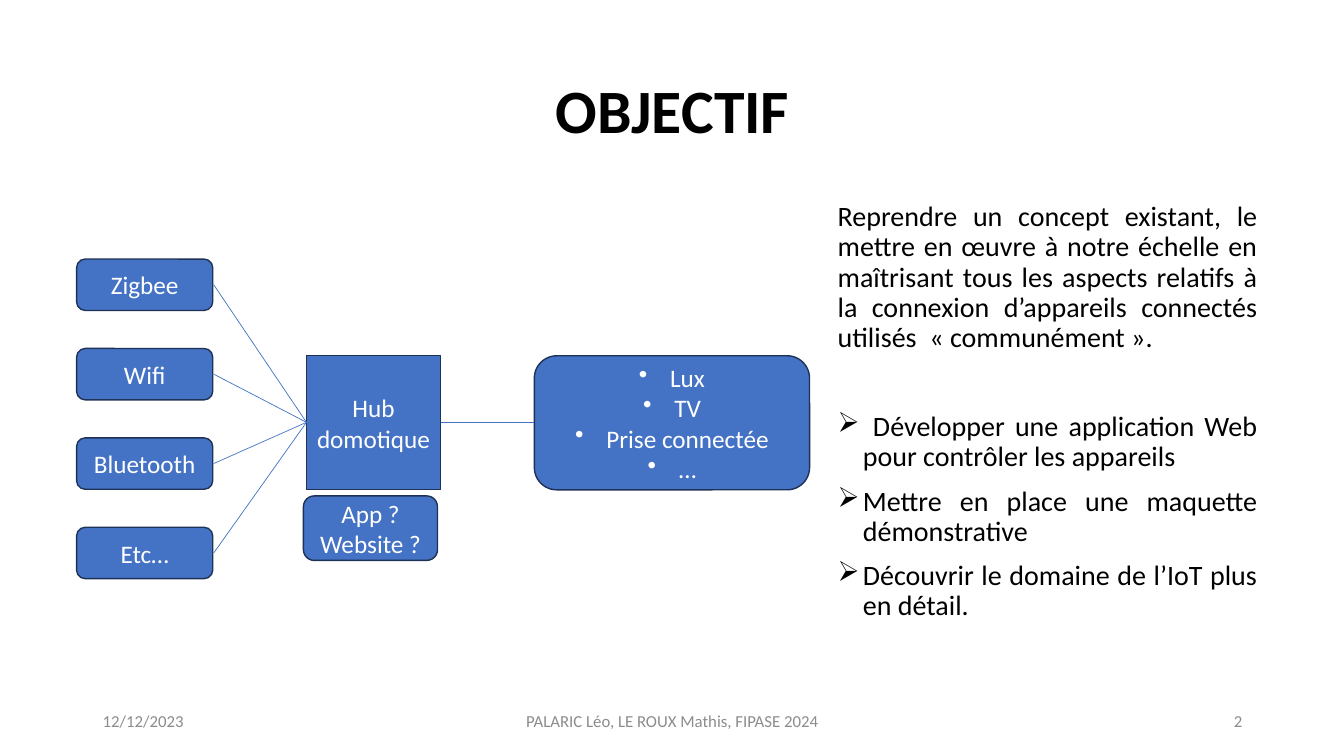
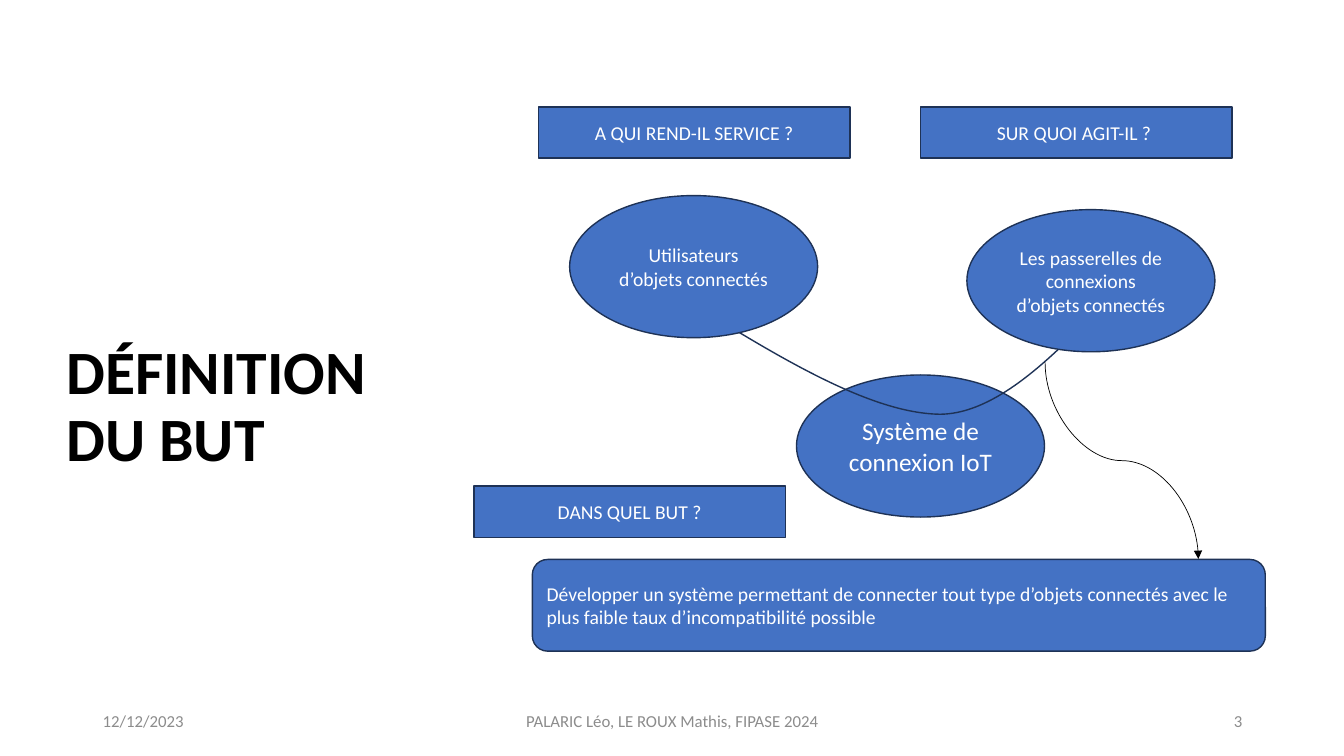
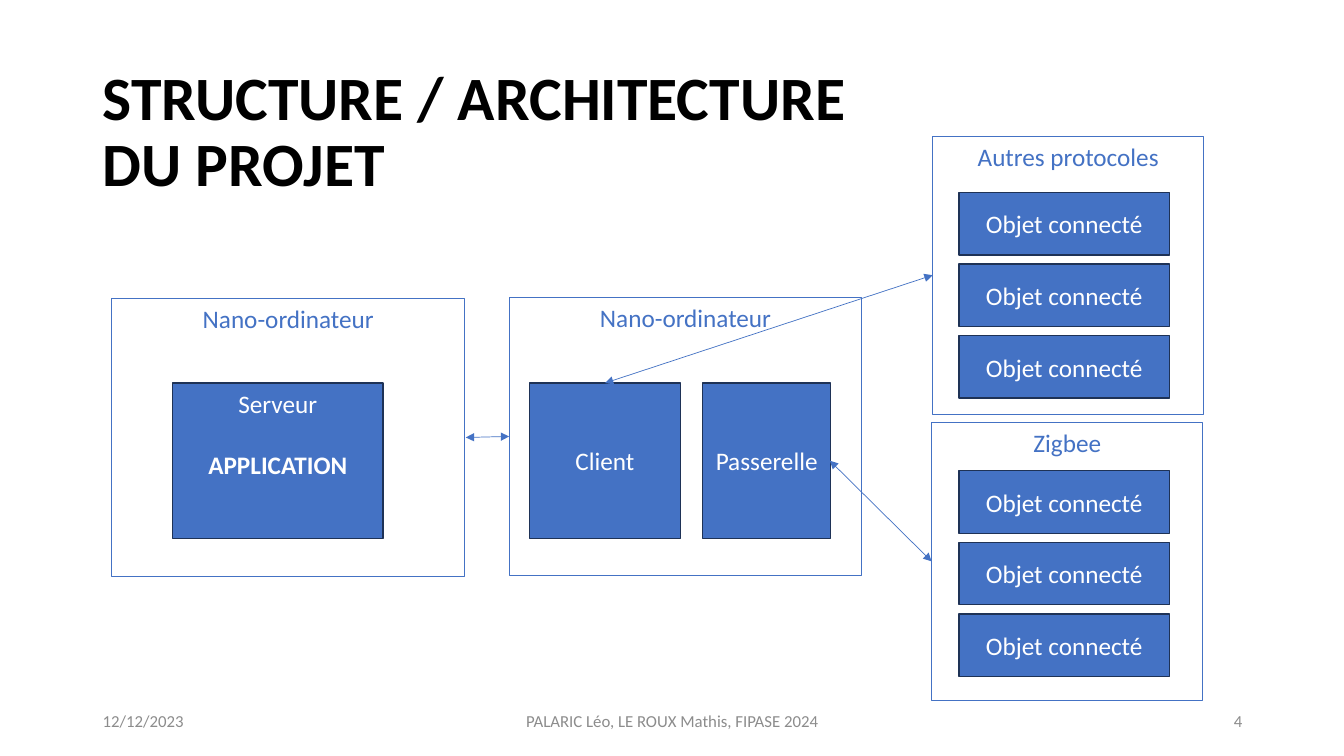
from dataclasses import dataclass
from itertools import product

from lxml import etree
from pptx import Presentation
from pptx.dml.color import RGBColor
from pptx.enum import shapes, text
from pptx.oxml import ns
from pptx.util import Inches, Pt


@dataclass(frozen=True)
class Theme:
    """Colours, font and type sizes of the deck."""
    blue: str = "4472C4"
    navy: str = "1E3256"
    white: str = "FFFFFF"
    black: str = "000000"
    grey: str = "8C8C8C"
    font: str = "Calibri"
    title: int = 44
    body: int = 20
    label: int = 18
    small: int = 14
    foot: int = 12


T = Theme()
KIND = shapes.MSO_SHAPE
LINE = shapes.MSO_CONNECTOR
ALIGN = text.PP_ALIGN
ANCHOR = text.MSO_ANCHOR


def put(slide, kind, at, lines, size=T.label, ink=T.white, fill=T.blue,
        edge=T.navy, width=1, align=ALIGN.CENTER, anchor=ANCHOR.MIDDLE):
    """Add a shape, a text box ("text") or the title ("title") with its lines."""
    place = [Inches(v) for v in at]
    if kind == "title":
        item = slide.shapes.title
        item.left, item.top, item.width, item.height = place
    elif kind == "text":
        item = slide.shapes.add_textbox(*place)
    else:
        item = slide.shapes.add_shape(kind, *place)
        item.shadow.inherit = False
        item.line.color.rgb = RGBColor.from_string(edge)
        item.line.width = Pt(width)
        if fill:
            item.fill.solid()
            item.fill.fore_color.rgb = RGBColor.from_string(fill)
        else:
            item.fill.background()
    frame = item.text_frame
    frame.word_wrap = True
    frame.auto_size = text.MSO_AUTO_SIZE.NONE
    frame.vertical_anchor = anchor
    for i, line in enumerate(lines):
        para = frame.add_paragraph() if i else frame.paragraphs[0]
        para.alignment = align
        run = para.add_run()
        run.text = line
        run.font.name = T.font
        run.font.size = Pt(size)
        run.font.bold = kind == "title"
        run.font.color.rgb = RGBColor.from_string(ink)
        if kind == "title":
            para.line_spacing = 0.9
    return item


def link(slide, start, end, ends=(), ink=T.blue, kind=LINE.STRAIGHT):
    """Add a thin connector with arrowheads at the named ends."""
    wire = slide.shapes.add_connector(kind, *[Inches(v) for v in start + end])
    wire.line.color.rgb = RGBColor.from_string(ink)
    wire.line.width = Pt(0.5)
    for name in ends:
        etree.SubElement(wire.line._get_or_add_ln(), ns.qn("a:" + name),
                         type="triangle")
    etree.SubElement(wire._element.spPr, ns.qn("a:effectLst"))
    return wire


deck = Presentation()
deck.slide_width, deck.slide_height = Inches(13.33), Inches(7.5)

# Titles and footers
heads = [
    ("OBJECTIF", (0.92, 0.4, 11.5, 1.45), ALIGN.CENTER),
    ("DÉFINITION DU BUT", (0.56, 2.08, 4.01, 3.94), ALIGN.LEFT),
    ("STRUCTURE / ARCHITECTURE DU PROJET", (0.92, 0.4, 7.79, 1.85), ALIGN.LEFT),
]
pages = []
for number, (head, at, align) in enumerate(heads, 2):
    page = deck.slides.add_slide(deck.slide_layouts[5])
    put(page, "title", at, [head], T.title, T.black, align=align)
    for left, width, words, side in [
        (0.92, 3, "12/12/2023", ALIGN.LEFT),
        (4.42, 4.5, "PALARIC Léo, LE ROUX Mathis, FIPASE 2024", ALIGN.CENTER),
        (9.42, 3, str(number), ALIGN.RIGHT),
    ]:
        put(page, "text", (left, 6.95, width, 0.4), [words], T.foot, T.grey,
            align=side)
    pages.append(page)
goal, aim, plan = pages

# Goal: protocols, hub and devices
body = put(goal, "text", (8.21, 1.96, 4.36, 4.76), [
    "Reprendre un concept existant, le mettre en œuvre à notre échelle en "
    "maîtrisant tous les aspects relatifs à la connexion d’appareils connectés "
    "utilisés\u00a0 «\u00a0communément\u00a0».",
    " Développer une application Web pour contrôler les appareils",
    "Mettre en place une maquette démonstrative",
    "Découvrir le domaine de l’IoT plus en détail.",
], T.body, T.black, align=ALIGN.JUSTIFY, anchor=ANCHOR.TOP)
paras = body.text_frame.paragraphs
for para in paras:
    para.line_spacing = 0.9
    para.space_before = Pt(10)
paras[1].space_before = Pt(42)

put(goal, KIND.RECTANGLE, (3.04, 3.53, 1.33, 1.33), ["Hub domotique"])
for i, name in enumerate(["Zigbee", "Wifi", "Bluetooth", "Etc…"]):
    top = 2.57 + 0.887 * i
    put(goal, KIND.ROUNDED_RECTANGLE, (0.76, top, 1.35, 0.51), [name])
    link(goal, (2.12, top + 0.255), (3.04, 4.19))
gear = put(goal, KIND.ROUNDED_RECTANGLE, (5.3, 3.53, 2.73, 1.33),
           ["Lux", "TV", "Prise connectée", "…"])
link(goal, (4.37, 4.19), (5.3, 4.19))
put(goal, KIND.ROUNDED_RECTANGLE, (3.01, 4.92, 1.33, 0.64),
    ["App ?", "Website ?"])

for group, mark, indent in [(paras[1:], "➢", 0.25),
                            (gear.text_frame.paragraphs, "•", 0.31)]:
    for para in group:
        props = para._p.get_or_add_pPr()
        props.set("marL", str(Inches(indent)))
        props.set("indent", str(-Inches(indent)))
        etree.SubElement(props, ns.qn("a:buChar"), char=mark)

# Aim: users and gateways around the system
put(aim, KIND.OVAL, (7.9, 3.72, 2.46, 1.41), ["Système de connexion IoT"])

curve = [(6.86, 3.01), (7.75, 3.56), (8.64, 4.1), (9.32, 4.11),
         (10.01, 4.11), (10.7, 3.22), (10.97, 3.02)]
points = [(Inches(x), Inches(y)) for x, y in curve]
draft = aim.shapes.build_freeform(*points[0])
draft.add_line_segments(points[1:], close=False)
arc = draft.convert_to_shape()
arc.shadow.inherit = False
arc.fill.background()
arc.line.color.rgb = RGBColor.from_string(T.navy)
arc.line.width = Pt(1)
steps = list(arc._element.iter(ns.qn("a:lnTo")))
for i in range(0, len(steps), 3):
    bend = etree.Element(ns.qn("a:cubicBezTo"))
    steps[i].addprevious(bend)
    for step in steps[i:i + 3]:
        bend.append(step[0])
        step.getparent().remove(step)

for left, top, words in [
    (5.65, 1.94, "Utilisateurs d’objets connectés"),
    (9.59, 2.08, "Les passerelles de connexions d’objets connectés"),
]:
    put(aim, KIND.OVAL, (left, top, 2.46, 1.41), [words], T.small)
for left, top, words in [
    (5.34, 1.06, "A QUI REND-IL SERVICE ?"),
    (9.13, 1.06, "SUR QUOI AGIT-IL ? "),
    (4.7, 4.82, "DANS QUEL BUT ?"),
]:
    put(aim, KIND.RECTANGLE, (left, top, 3.09, 0.51), [words], T.small)
put(aim, KIND.ROUNDED_RECTANGLE, (5.28, 5.55, 7.27, 0.91), [
    "Développer un système permettant de connecter tout type d’objets connectés "
    "avec le plus faible taux d’incompatibilité possible",
], T.small, align=ALIGN.LEFT)
# A quarter turn makes the curve leave and arrive vertically
swing = link(aim, (12.1, 3.81), (10.15, 5.33), ["tailEnd"], T.black, LINE.CURVE)
swing._element.spPr.find(ns.qn("a:xfrm")).set("rot", str(270 * 60000))

# Plan: boards, protocols and their devices
for left, top, width, name in [
    (5.05, 2.95, 3.5, "Nano-ordinateur"),
    (1.11, 2.96, 3.5, "Nano-ordinateur"),
    (9.24, 4.19, 2.69, "Zigbee"),
    (9.25, 1.35, 2.69, "Autres protocoles"),
]:
    put(plan, KIND.RECTANGLE, (left, top, width, 2.76), [name], ink=T.blue,
        fill=None, edge=T.blue, width=0.75, anchor=ANCHOR.TOP)
server = put(plan, KIND.RECTANGLE, (1.71, 3.8, 2.09, 1.54),
             ["Serveur", "APPLICATION"], anchor=ANCHOR.TOP)
app = server.text_frame.paragraphs[1]
app.space_before = Pt(22)
app.runs[0].font.bold = True
for left, width, name in [(5.25, 1.5, "Client"), (6.97, 1.27, "Passerelle")]:
    put(plan, KIND.RECTANGLE, (left, 3.8, width, 1.54), [name])
for top, row in product((1.91, 4.67), range(3)):
    put(plan, KIND.RECTANGLE, (9.51, top + 0.71 * row, 2.09, 0.62),
        ["Objet connecté"])
for start, end in [((9.25, 2.73), (6, 3.8)), ((9.24, 5.57), (8.23, 4.57)),
                   ((4.62, 4.34), (5.05, 4.33))]:
    link(plan, start, end, ["headEnd", "tailEnd"])

deck.save("out.pptx")
